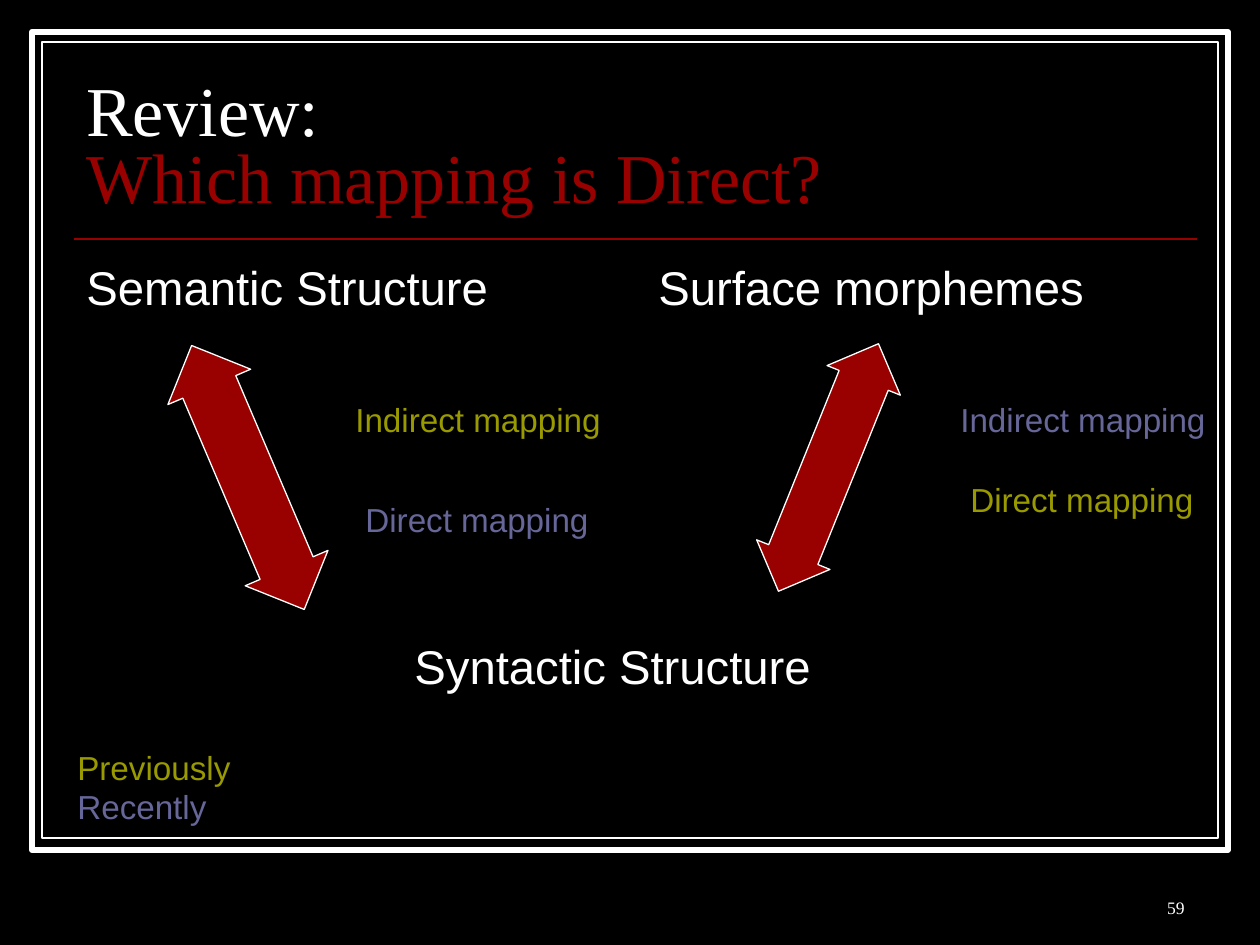
from dataclasses import dataclass

import pptx
import pptx.dml.color
import pptx.enum.shapes
import pptx.enum.text
import pptx.oxml
import pptx.oxml.ns
import pptx.util

EMU_PER_PX = 914400 // 126
SHAPES = pptx.enum.shapes.MSO_SHAPE
ANCHORS = pptx.enum.text.MSO_ANCHOR
ALIGNS = pptx.enum.text.PP_ALIGN


@dataclass(frozen=True)
class Theme:
    black: str = "000000"
    white: str = "FFFFFF"
    red: str = "990000"
    olive: str = "999900"
    violet: str = "666699"
    serif: str = "Times New Roman"
    sans: str = "Arial"
    title_size: int = 40
    heading_size: int = 27
    label_size: int = 19
    number_size: int = 10


THEME = Theme()


@dataclass(frozen=True)
class Box:
    left: int
    top: int
    width: int
    height: int


@dataclass(frozen=True)
class Panel:
    box: Box
    fill: str
    line_width: float
    kind: SHAPES = SHAPES.RECTANGLE
    rotation: float = 0
    head_length: float | None = None


@dataclass(frozen=True)
class Text:
    box: Box
    lines: tuple[tuple[str, str], ...]  # (wording, colour)
    size: int
    font: str = THEME.sans
    anchor: ANCHORS = ANCHORS.TOP
    align: ALIGNS = ALIGNS.LEFT
    line_spacing: float = 1.0


def px(length: int) -> pptx.util.Emu:
    return pptx.util.Emu(length * EMU_PER_PX)


def place(box: Box) -> tuple[pptx.util.Emu, ...]:
    return px(box.left), px(box.top), px(box.width), px(box.height)


def rgb(colour: str) -> pptx.dml.color.RGBColor:
    return pptx.dml.color.RGBColor.from_string(colour)


def draw_panel(slide, panel: Panel) -> None:
    shape = slide.shapes.add_shape(panel.kind, *place(panel.box))
    shape.shadow.inherit = False
    shape.rotation = panel.rotation
    if panel.head_length is not None:
        shape.adjustments[1] = panel.head_length
    shape.fill.solid()
    shape.fill.fore_color.rgb = rgb(panel.fill)
    shape.line.color.rgb = rgb(THEME.white)
    shape.line.width = pptx.util.Pt(panel.line_width)


def draw_rule(slide, left: int, right: int, y: int) -> None:
    rule = slide.shapes.add_connector(
        pptx.enum.shapes.MSO_CONNECTOR.STRAIGHT, px(left), px(y), px(right), px(y))
    rule.line.color.rgb = rgb(THEME.red)
    rule.line.width = pptx.util.Pt(1)
    properties = rule._element.spPr
    properties.append(pptx.oxml.parse_xml(
        f"<a:effectLst {pptx.oxml.ns.nsdecls('a')}/>"))


def draw_text(slide, text: Text) -> None:
    frame = slide.shapes.add_textbox(*place(text.box)).text_frame
    frame.word_wrap = True
    frame.vertical_anchor = text.anchor
    paragraph = frame.paragraphs[0]
    paragraph.alignment = text.align
    paragraph.line_spacing = text.line_spacing
    for index, (wording, colour) in enumerate(text.lines):
        if index:
            paragraph.add_line_break()
        run = paragraph.add_run()
        run.text = wording
        run.font.name = text.font
        run.font.size = pptx.util.Pt(text.size)
        run.font.color.rgb = rgb(colour)


def heading(wording: str, box: Box) -> Text:
    return Text(box, ((wording, THEME.white),), THEME.heading_size)


def label(wording: str, colour: str, left: int, top: int, width: int = 358) -> Text:
    return Text(Box(left, top, width, 70), ((wording, colour),), THEME.label_size)


FRAMES = (
    Panel(Box(32, 32, 1196, 818), THEME.black, 3.5),
    Panel(Box(42, 42, 1176, 796), THEME.black, 0.75),
)

TITLE = Text(
    Box(74, 66, 1123, 157),
    (("Review:", THEME.white), ("Which mapping is Direct?", THEME.red)),
    THEME.title_size, THEME.serif, ANCHORS.BOTTOM, line_spacing=0.8)

HEADINGS = (
    heading("Semantic Structure", Box(74, 252, 551, 557)),
    heading("Surface morphemes", Box(646, 252, 551, 181)),
    heading("Syntactic Structure", Box(402, 631, 551, 181)),
)

ARROWS = (
    Panel(Box(203, 334, 90, 287), THEME.red, 0.75, SHAPES.UP_DOWN_ARROW, 336.9, 0.64),
    Panel(Box(789, 334, 79, 267), THEME.red, 0.75, SHAPES.UP_DOWN_ARROW, 22, 0.67),
)

# Olive marks the previous view, violet the recent one
LABELS = (
    label("Indirect mapping", THEME.olive, 343, 393),
    label("Direct mapping", THEME.violet, 353, 493),
    label("Indirect mapping", THEME.violet, 948, 393, 338),
    label("Direct mapping", THEME.olive, 958, 473, 338),
    label("Previously", THEME.olive, 65, 741),
    label("Recently", THEME.violet, 65, 780),
)

SLIDE_NUMBER = Text(
    Box(935, 861, 262, 63), (("59", THEME.white),),
    THEME.number_size, THEME.serif, ANCHORS.BOTTOM, ALIGNS.RIGHT)


def main() -> None:
    presentation = pptx.Presentation()
    presentation.slide_width = pptx.util.Inches(10)
    presentation.slide_height = pptx.util.Inches(7.5)
    slide = presentation.slides.add_slide(presentation.slide_layouts[6])
    slide.background.fill.solid()
    slide.background.fill.fore_color.rgb = rgb(THEME.black)

    # Double frame and title rule
    for panel in FRAMES:
        draw_panel(slide, panel)
    draw_rule(slide, 74, 1197, 239)

    # Title and the three structures
    for text in (TITLE, *HEADINGS):
        draw_text(slide, text)

    # Mappings between the structures
    for panel in ARROWS:
        draw_panel(slide, panel)
    for text in (*LABELS, SLIDE_NUMBER):
        draw_text(slide, text)

    presentation.save("out.pptx")


if __name__ == "__main__":
    main()
